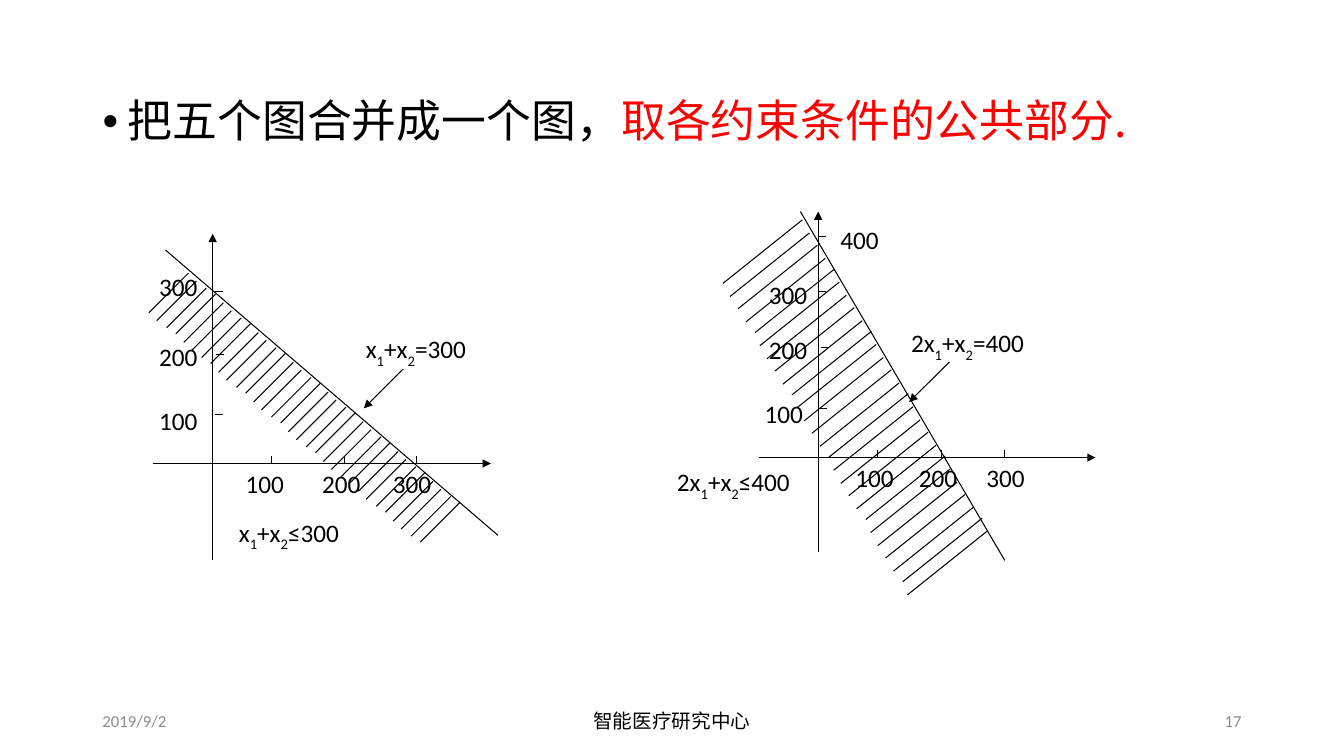
from dataclasses import dataclass

from lxml.etree import SubElement
from pptx import Presentation
from pptx.dml.color import RGBColor as RGB
from pptx.enum.shapes import MSO_CONNECTOR as CONN
from pptx.enum.text import MSO_ANCHOR as ANCHOR, PP_ALIGN as ALIGN
from pptx.oxml.ns import qn
from pptx.util import Cm, Pt


@dataclass(frozen=True)
class Theme:
    """Colours, fonts and type sizes of the slide."""
    ink: RGB = RGB(0, 0, 0)
    accent: RGB = RGB(0xFF, 0, 0)
    muted: RGB = RGB(0x8C, 0x8C, 0x8C)
    latin: str = "Calibri"
    heading_font: str = "Noto Sans CJK JP"
    footer_font: str = "Noto Sans CJK SC"
    heading: int = 32
    label: int = 18
    footer: int = 14
    small: int = 12
    stroke: float = 0.75


@dataclass
class Graph:
    """One constraint drawn as a half-plane; lengths in centimetres."""
    origin: tuple
    x_span: tuple
    y_span: tuple
    x_ticks: list
    y_ticks: list       # (gap from the axis, y)
    labels: list        # (text, left, top)
    boundary: tuple
    formulas: list      # (parts, left, top), odd parts are subscripts
    arrow: tuple
    hatch_start: tuple
    hatch_cycle: list   # offsets of the strokes in one repeat
    hatch_period: tuple
    hatch_stroke: tuple
    hatch_count: int


class Painter:
    """Holds the theme and the current slide."""

    def __init__(self, s, theme):
        self.s, self.t = s, theme
        self.shapes = s.shapes

    def style(self, r, size, color, font):
        """Format one run, including its East Asian font."""
        r.font.size, r.font.name = Pt(size), font
        r.font.color.rgb = color
        SubElement(r.font._element, qn("a:ea"), typeface=font)

    def text(self, parts, x, y, w, h, size, color=None, font=None,
             align=ALIGN.LEFT, anchor=ANCHOR.TOP):
        """Add a one-line text box; odd parts are set as subscripts."""
        sp = self.shapes.add_textbox(Cm(x), Cm(y), Cm(w), Cm(h))
        tf = sp.text_frame
        tf.word_wrap, tf.vertical_anchor = True, anchor
        p = tf.paragraphs[0]
        p.alignment = align
        for i, part in enumerate(parts):
            r = p.add_run()
            r.text = part
            self.style(r, size, color or self.t.ink, font or self.t.latin)
            if i % 2:
                r.font._element.set("baseline", "-30000")

    def line(self, x1, y1, x2, y2, arrow=False):
        """Add a thin straight line, with an arrowhead at its end if asked."""
        c = self.shapes.add_connector(CONN.STRAIGHT, Cm(x1), Cm(y1), Cm(x2), Cm(y2))
        c.line.color.rgb, c.line.width = self.t.ink, Pt(self.t.stroke)
        spPr = c._element.spPr
        if arrow:
            SubElement(spPr.find(qn("a:ln")), qn("a:tailEnd"), type="triangle")
        SubElement(spPr, qn("a:effectLst"))

    def bullet(self, pieces, x, y, w, h):
        """Fill the body placeholder with one bullet of coloured pieces."""
        sp = self.s.placeholders[1]
        sp.left, sp.top, sp.width, sp.height = Cm(x), Cm(y), Cm(w), Cm(h)
        p = sp.text_frame.paragraphs[0]
        p.line_spacing, p.space_before = 0.9, Pt(10)
        pPr = p._p.get_or_add_pPr()
        pPr.set("marL", str(Cm(0.64)))
        pPr.set("indent", str(-Cm(0.64)))
        for words, color in pieces:
            r = p.add_run()
            r.text = words
            self.style(r, self.t.heading, color, self.t.heading_font)

    def graph(self, g):
        """Draw axes, ticks, hatching, boundary and labels as one group."""
        self.shapes = self.s.shapes.add_group_shape().shapes
        ox, oy = g.origin
        tick = 0.2
        self.line(ox, g.y_span[0], ox, g.y_span[1], arrow=True)
        self.line(g.x_span[0], oy, g.x_span[1], oy, arrow=True)
        for gap, y in g.y_ticks:
            self.line(ox + gap, y, ox + gap + tick, y)
        for x in g.x_ticks:
            self.line(x, oy, x, oy - tick)
        self.line(*g.boundary)
        for i in range(g.hatch_count):
            turn, k = divmod(i, len(g.hatch_cycle))
            x, y = (a + turn * b + c for a, b, c in
                    zip(g.hatch_start, g.hatch_period, g.hatch_cycle[k]))
            self.line(x, y, x + g.hatch_stroke[0], y + g.hatch_stroke[1])
        for value, x, y in g.labels:
            self.text([value], x, y, 1.7, 1.02, self.t.label)
        for parts, x, y in g.formulas:
            self.text(parts, x, y, 5.2, 1.09, self.t.label)
        self.line(*g.arrow, arrow=True)
        self.shapes = self.s.shapes


def formula(first, relation):
    """Split a constraint into plain and subscript parts."""
    return [first, "1", "+x", "2", relation]


SUM_GRAPH = Graph(
    origin=(5.36, 11.68), x_span=(3.86, 12.37), y_span=(14.1, 5.89),
    x_ticks=[6.83, 8.69, 10.49],
    y_ticks=[(0.05, 10.44), (0.08, 8.94), (0.05, 7.34)],
    labels=[("100", 3.76, 10.08), ("200", 3.76, 8.48), ("300", 3.76, 6.71),
            ("100", 5.94, 11.68), ("200", 7.87, 11.68), ("300", 9.65, 11.68)],
    boundary=(4.17, 6.3, 12.55, 13.49),
    formulas=[(formula("x", "≤300"), 5.77, 12.9),
              (formula("x", "=300"), 8.97, 8.28)],
    arrow=(10.16, 9.3, 9.17, 10.29),
    hatch_start=(4.75, 6.88),
    hatch_cycle=[(0, 0), (0.2, 0.2), (0.45, 0.38), (0.68, 0.53)],
    hatch_period=(0.88, 0.75), hatch_stroke=(-1, 1), hatch_count=32)

DOUBLE_GRAPH = Graph(
    origin=(20.62, 11.53), x_span=(19.13, 27.61), y_span=(13.92, 5.33),
    x_ticks=[22.12, 23.72, 25.32],
    y_ticks=[(0.03, 10.29), (0.08, 8.76), (0, 7.34), (0, 5.97)],
    labels=[("100", 19.02, 9.91), ("200", 19.13, 8.31), ("300", 19.13, 6.91),
            ("400", 20.93, 5.54), ("100", 21.31, 11.53), ("200", 22.91, 11.53),
            ("300", 24.61, 11.53)],
    boundary=(20.17, 5.33, 25.32, 14.12),
    formulas=[(formula("2x", "≤400"), 16.81, 11.63),
              (formula("2x", "=400"), 22.71, 8.13)],
    arrow=(23.93, 9.12, 22.91, 10.13),
    hatch_start=(20.22, 5.54),
    hatch_cycle=[(0, 0), (0.18, 0.33), (0.38, 0.64), (0.58, 0.97), (0.81, 1.24)],
    hatch_period=(0.93, 1.57), hatch_stroke=(-2, 1.6), hatch_count=26)


def main():
    """Build the slide and save it."""
    prs = Presentation()
    prs.slide_width, prs.slide_height = Cm(33.87), Cm(19.05)
    s = prs.slides.add_slide(prs.slide_layouts[1])
    title = s.shapes.title._element
    title.getparent().remove(title)

    t = Theme()
    page = Painter(s, t)
    page.bullet([("把五个图合并成一个图，", t.ink),
                 ("取各约束条件的公共部分.", t.accent)], 2.33, 2.37, 29.21, 14.78)
    for words, x, w, size, color, font, align in [
            ("2019/9/2", 2.33, 7.62, t.small, t.muted, t.latin, ALIGN.LEFT),
            ("智能医疗研究中心", 11.22, 11.43, t.footer, t.ink, t.footer_font, ALIGN.CENTER),
            ("17", 23.92, 7.62, t.small, t.muted, t.latin, ALIGN.RIGHT)]:
        page.text([words], x, 17.66, w, 1.01, size, color, font, align, ANCHOR.MIDDLE)
    for g in (SUM_GRAPH, DOUBLE_GRAPH):
        page.graph(g)
    prs.save("out.pptx")


main()
